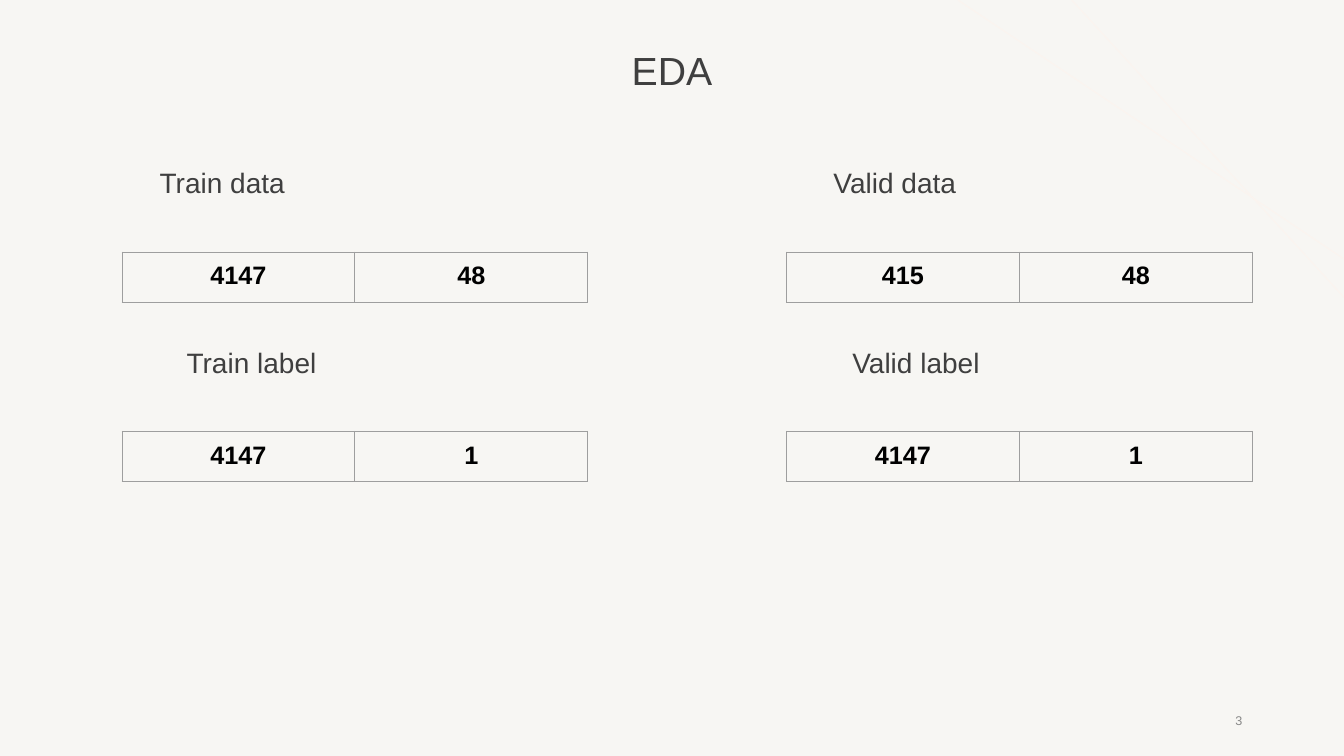
"""Build the EDA slide: sizes of the train and valid data and labels."""
from lxml import etree
from pptx import Presentation
from pptx import util as u
from pptx.dml.color import RGBColor
from pptx.enum import shapes, text
from pptx.oxml.ns import qn

COLORS = {"ground": "F7F6F3", "ray": "FBF4EF", "ink": "3F3F3F",
          "number": "888888", "cell": "000000", "border": "9E9E9E"}
CENTER = text.PP_ALIGN.CENTER
RIGHT = text.PP_ALIGN.RIGHT
MIDDLE = text.MSO_ANCHOR.MIDDLE
TOP = text.MSO_ANCHOR.TOP
WIDTH, HEIGHT = 13.33, 7.5
TABLE_LEFTS = (1.21, 7.8)
TABLE_TOPS = (2.5, 4.28)
LABEL_TOPS = (1.66, 3.44)
CELL_WIDTH, ROW_HEIGHT = 2.31, 0.43


def style(para, size, color, align, bold=False):
    para.alignment = align
    font = para.runs[0].font
    font.name, font.size, font.bold = "Arial", u.Pt(size), bold
    font.color.rgb = RGBColor.from_string(COLORS[color])


def add_text(page, words, bounds, size, color, align, anchor, spacing):
    box = page.shapes.add_textbox(*map(u.Inches, bounds))
    frame = box.text_frame
    frame.word_wrap = True
    frame.vertical_anchor = anchor
    frame.text = words
    frame.paragraphs[0].line_spacing = spacing
    style(frame.paragraphs[0], size, color, align)


deck = Presentation()
deck.slide_width, deck.slide_height = u.Inches(WIDTH), u.Inches(HEIGHT)
page = deck.slides.add_slide(deck.slide_layouts[6])
page.background.fill.solid()
page.background.fill.fore_color.rgb = RGBColor.from_string(COLORS["ground"])

for start, drop in ((9.5, 2.57), (10.63, 2.95)):
    ray = page.shapes.add_connector(
        shapes.MSO_CONNECTOR.STRAIGHT, u.Inches(start), 0, u.Inches(WIDTH), u.Inches(drop))
    ray.line.color.rgb = RGBColor.from_string(COLORS["ray"])
    ray.line.width = u.Pt(0.75)
    etree.SubElement(ray._element.spPr, qn("a:effectLst"))

add_text(page, "EDA", (2.06, 0, 9.21, 1.45), 28, "ink", CENTER, MIDDLE, 0.9)
add_text(page, "3", (9.42, 6.95, 3, 0.4), 9, "number", RIGHT, MIDDLE, 1.0)

panels = (
    ("Train data", 0, 0, 0, ("4147", "48")),
    ("Train label", 0.29, 0, 1, ("4147", "1")),
    ("Valid data", 6.67, 1, 0, ("415", "48")),
    ("Valid label", 6.88, 1, 1, ("4147", "1")),
)
for label, label_left, column, row, values in panels:
    add_text(page, label, (label_left, LABEL_TOPS[row], 4.41, 0.4), 20, "ink", CENTER, TOP, 0.8)
    bounds = (TABLE_LEFTS[column], TABLE_TOPS[row], len(values) * CELL_WIDTH, ROW_HEIGHT)
    table = page.shapes.add_table(1, len(values), *map(u.Inches, bounds)).table
    table.first_row = table.horz_banding = False
    for cell, value in zip(table.rows[0].cells, values):
        cell.text_frame.text = value
        style(cell.text_frame.paragraphs[0], 18, "cell", CENTER, bold=True)
        cell.margin_left = cell.margin_right = u.Inches(0.1)
        cell.margin_top = cell.margin_bottom = u.Inches(0.1)
        properties = cell._tc.get_or_add_tcPr()
        for side in ("a:lnL", "a:lnR", "a:lnT", "a:lnB"):
            border = etree.SubElement(properties, qn(side), w=str(u.Pt(0.75)))
            fill = etree.SubElement(border, qn("a:solidFill"))
            etree.SubElement(fill, qn("a:srgbClr"), val=COLORS["border"])
        cell.fill.background()

deck.save("out.pptx")
